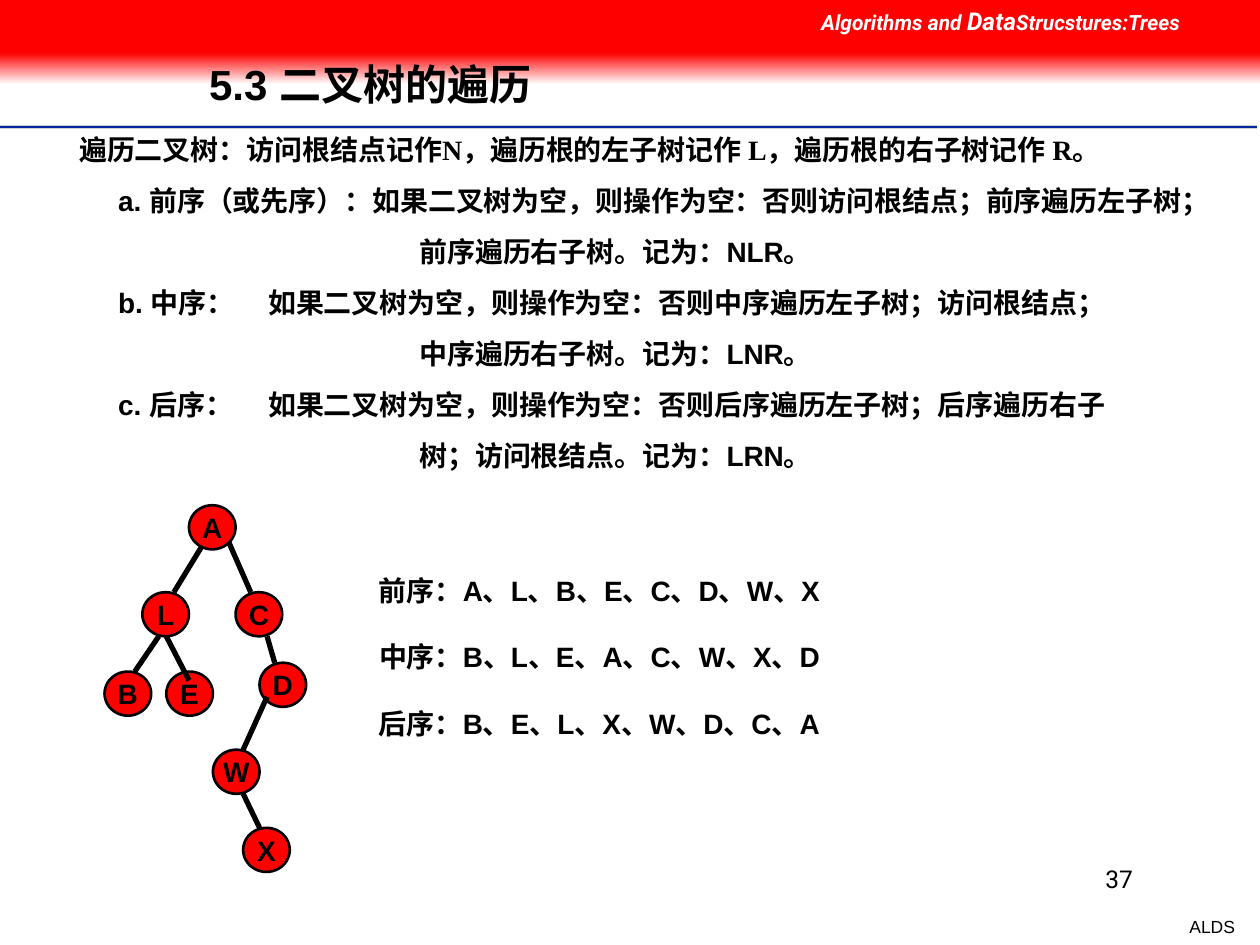
from dataclasses import dataclass

from lxml import etree
from pptx import Presentation
from pptx import util as u
from pptx.dml.color import RGBColor
from pptx.enum import shapes, text
from pptx.oxml.ns import qn

# Grid: 100 columns by 75 rows of a tenth of an inch
COLUMNS, ROWS = 100, 75
CELL = 0.1
COLORS = {"red": "FF0000", "white": "FFFFFF", "black": "000000",
          "blue": "00279F", "gray": "CECECE"}
CHINESE, LATIN, SERIF, HEADER = "Noto Sans CJK SC", "Arial", "Times New Roman", "Roboto"
BOLD = {"size": u.Pt(16), "bold": True, "name": LATIN}


@dataclass
class Node:
    label: str
    column: float
    row: float


@dataclass
class Line:
    start: tuple[float, float]
    end: tuple[float, float]
    color: str = "black"
    width: float = 3


@dataclass
class Paragraph:
    runs: list[tuple[str, dict]]
    indent: float = 0
    tab: float = 0


def grid(*cells: float) -> list[int]:
    return [u.Inches(cell * CELL) for cell in cells]


def color(name: str) -> RGBColor:
    return RGBColor.from_string(COLORS[name])


def add_run(paragraph, words: str, formats: dict, ink: str = "black") -> None:
    run = paragraph.add_run()
    run.text = words
    for name, value in formats.items():
        setattr(run.font, name, value)
    run.font.color.rgb = color(ink)
    east_asian = etree.SubElement(run._r.get_or_add_rPr(), qn("a:ea"))
    east_asian.set("typeface", CHINESE)


def set_indent(paragraph, indent: float, tab: float) -> None:
    properties = paragraph._p.get_or_add_pPr()
    properties.set("marL", "0")
    properties.set("indent", str(grid(indent)[0]))
    if tab:
        tabs = etree.SubElement(properties, qn("a:tabLst"))
        etree.SubElement(tabs, qn("a:tab"), pos=str(grid(tab)[0]), algn="l")


def add_text(slide, box: tuple, paragraphs: list[Paragraph], ink: str = "black",
             wrap: bool = True, align=text.PP_ALIGN.LEFT):
    frame = slide.shapes.add_textbox(*grid(*box)).text_frame
    frame.word_wrap = wrap
    for index, item in enumerate(paragraphs):
        paragraph = frame.add_paragraph() if index else frame.paragraphs[0]
        set_indent(paragraph, item.indent, item.tab)
        paragraph.alignment = align
        paragraph.space_before = u.Pt(10 if index else 0)
        for words, formats in item.runs:
            add_run(paragraph, words, formats, ink)
    return frame


def add_shape(slide, kind, box: tuple):
    shape = slide.shapes.add_shape(kind, *grid(*box))
    shape.shadow.inherit = False
    shape.line.fill.background()
    return shape


def add_line(slide, line: Line) -> None:
    connector = slide.shapes.add_connector(
        shapes.MSO_CONNECTOR.STRAIGHT, *grid(*line.start, *line.end))
    connector.line.color.rgb = color(line.color)
    connector.line.width = u.Pt(line.width)
    etree.SubElement(connector.element.spPr, qn("a:effectLst"))


def add_node(slide, node: Node) -> None:
    shape = add_shape(slide, shapes.MSO_SHAPE.OVAL, (node.column, node.row, 3.7, 3.5))
    shape.fill.solid()
    shape.fill.fore_color.rgb = color("red")
    shape.line.color.rgb = color("black")
    shape.line.width = u.Pt(1.5)
    frame = shape.text_frame
    frame.word_wrap = False
    frame.vertical_anchor = text.MSO_ANCHOR.MIDDLE
    frame.paragraphs[0].alignment = text.PP_ALIGN.CENTER
    add_run(frame.paragraphs[0], node.label, BOLD)


def add_header(slide) -> None:
    for row, color_name, width in ((10.1, "gray", 2), (10.1, "blue", 1), (10.3, "white", 1)):
        add_line(slide, Line((0, row), (99.8, row), color_name, width))
    fade = add_shape(slide, shapes.MSO_SHAPE.RECTANGLE, (0, 4.2, COLUMNS, 2.5))
    fade.fill.gradient()
    fade.fill.gradient_angle = 270
    for stop, position, name in zip(fade.fill.gradient_stops, (0, 1), ("red", "white")):
        stop.position = position
        stop.color.rgb = color(name)
    band = add_shape(slide, shapes.MSO_SHAPE.RECTANGLE, (0, 0, COLUMNS, 4.2))
    band.fill.solid()
    band.fill.fore_color.rgb = color("red")
    course = {"size": u.Pt(12), "bold": True, "italic": True, "name": HEADER}
    add_text(slide, (64.2, 0, 35.8, 3.4), [Paragraph([
        ("Algorithms and ", course), ("Data", course | {"size": u.Pt(14)}),
        ("Strucstures:Trees", course)])], "white")


def add_title(slide) -> None:
    title = slide.shapes.title
    title.left, title.top, title.width, title.height = grid(15.6, 3.2, 75.5, 7.4)
    title.text_frame.vertical_anchor = text.MSO_ANCHOR.MIDDLE
    paragraph = title.text_frame.paragraphs[0]
    paragraph.alignment = text.PP_ALIGN.LEFT
    paragraph.line_spacing = 0.9
    for words, font in (("5.3 ", LATIN), ("二叉树的遍历", CHINESE)):
        add_run(paragraph, words, {"size": u.Pt(24), "bold": True, "name": font})
    title.element.getparent().append(title.element)  # in front of the band


def add_definitions(slide) -> None:
    chinese, serif = BOLD | {"name": CHINESE}, BOLD | {"name": SERIF}
    paragraphs = [Paragraph([
        ("遍历二叉树：", BOLD), ("访问根结点记作", chinese), ("N", serif),
        ("，遍历根的左子树记作 ", chinese), ("L", serif),
        ("，遍历根的右子树记作 ", chinese), ("R", serif), ("。", chinese)], 5)]
    empty_tree = "如果二叉树为空，则操作为空：否则"
    for first, rest, tab in (
            (f"a. 前序（或先序）：{empty_tree}访问根结点；前序遍历左子树；",
             "前序遍历右子树。记为：NLR。", 0),
            (f"b. 中序：\t{empty_tree}中序遍历左子树；访问根结点；",
             "中序遍历右子树。记为：LNR。", 26.9),
            (f"c. 后序：\t{empty_tree}后序遍历左子树；后序遍历右子",
             "树；访问根结点。记为：LRN。", 26.8)):
        paragraphs += [Paragraph([(first, BOLD)], 8.1, tab), Paragraph([(rest, BOLD)], 32)]
    frame = add_text(slide, (0.3, 10, 97.3, 28), paragraphs)
    frame.margin_right = 0


def add_orders(slide) -> None:
    orders = (("前序", "ALBECDWX", 41.7), ("中序", "BLEACWXD", 39.2),
              ("后序", "BELXWDCA", 42.3))
    for index, (name, nodes, width) in enumerate(orders):
        add_text(slide, (29.1, 45 + 5.3 * index, width, 6.4),
                 [Paragraph([(f"{name}：{'、'.join(nodes)}", BOLD)])])


def add_tree(slide) -> None:
    back_nodes = [Node("B", 8.3, 53.3), Node("C", 18.7, 47), Node("D", 20.6, 52.6),
                  Node("E", 13.2, 53.3), Node("L", 11.3, 47)]
    edges = [Line((16.3, 42.9), (13.8, 47)), Line((18.1, 42.9), (19.9, 47)),
             Line((21.2, 50.5), (21.8, 52.6)), Line((13.2, 50.5), (15, 54)),
             Line((12.6, 50.5), (10.7, 53.3)), Line((19.3, 63), (20.6, 65.7)),
             Line((21.2, 55.3), (19.3, 59.5))]
    front_nodes = [Node("A", 15, 40.1), Node("X", 19.3, 65.7), Node("W", 16.9, 59.5)]
    for node in back_nodes:
        add_node(slide, node)
    for edge in edges:
        add_line(slide, edge)
    for node in front_nodes:
        add_node(slide, node)


def main() -> None:
    presentation = Presentation()
    presentation.slide_width, presentation.slide_height = grid(COLUMNS, ROWS)
    slide = presentation.slides.add_slide(presentation.slide_layouts[5])
    add_header(slide)
    add_title(slide)
    # Footer
    for box, words, size, font, wrap in (
            ((93.4, 72.2, 5.6, 2.7), "ALDS", 10, LATIN, False),
            ((71.7, 68.1, 19.2, 5), "37", 14, HEADER, True)):
        formats = {"size": u.Pt(size), "name": font}
        add_text(slide, box, [Paragraph([(words, formats)])], wrap=wrap,
                 align=text.PP_ALIGN.RIGHT)
    add_definitions(slide)
    add_orders(slide)
    add_tree(slide)
    presentation.save("out.pptx")


if __name__ == "__main__":
    main()
